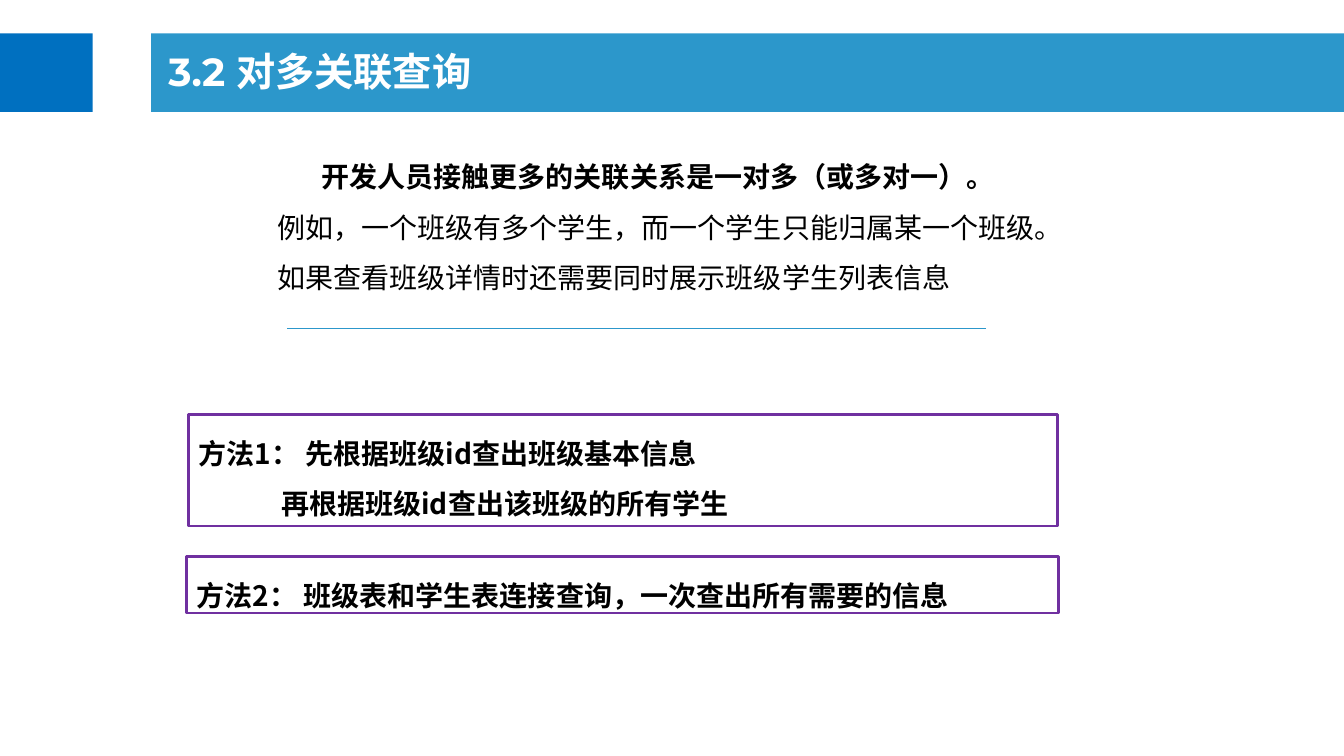
"""Build the slide on one-to-many association queries."""
from lxml import etree
from pptx import Presentation
from pptx.dml.color import RGBColor
from pptx.enum import shapes, text
from pptx.oxml import ns
from pptx.util import Inches, Pt

CJK_FONT = "Noto Sans CJK SC"
TITLE_FONT = "Montserrat"
SKY, BLUE, PURPLE, BLACK, WHITE = "2C97CB", "0070C0", "7030A0", "000000", "FFFFFF"

TITLE = "3.2 对多关联查询"
BANDS = [((1.5, 0.33, 11.83, 0.78), SKY), ((0, 0.33, 0.92, 0.78), BLUE)]
# Each line of text is (wording, bold, first-line indent).
INTRO = ((2.65, 1.37, 8.39, 1.62), [
    ("开发人员接触更多的关联关系是一对多（或多对一）。", True, 0.44),
    ("例如，一个班级有多个学生，而一个学生只能归属某一个班级。", False, 0),
    ("如果查看班级详情时还需要同时展示班级学生列表信息", False, 0),
])
METHODS = [
    ((1.87, 4.11, 8.62, 1.11), [
        ("方法1： 先根据班级id查出班级基本信息", True, 0),
        ("再根据班级id查出该班级的所有学生", True, 0.82),
    ]),
    ((1.85, 5.52, 8.65, 0.56), [
        ("方法2： 班级表和学生表连接查询，一次查出所有需要的信息", True, 0),
    ]),
]
DIVIDER = (2.85, 3.26, 9.78, 3.26)


def color(value):
    return RGBColor.from_string(value)


def inches(values):
    return [Inches(value) for value in values]


def style(paragraph, size, name, hex_color, bold, spacing):
    paragraph.alignment = text.PP_ALIGN.LEFT
    paragraph.line_spacing = spacing
    font = paragraph.font
    font.size, font.name, font.bold = Pt(size), name, bold
    font.color.rgb = color(hex_color)
    for run in paragraph.runs:
        east_asian = etree.SubElement(run._r.get_or_add_rPr(), ns.qn("a:ea"))
        east_asian.set("typeface", CJK_FONT)


def write_lines(shape, lines):
    frame = shape.text_frame
    frame.word_wrap = True
    frame.auto_size = text.MSO_AUTO_SIZE.SHAPE_TO_FIT_TEXT
    frame.vertical_anchor = text.MSO_ANCHOR.TOP
    frame.text = "\n".join(wording for wording, _, _ in lines)
    for paragraph, (_, bold, indent) in zip(frame.paragraphs, lines):
        style(paragraph, 20, CJK_FONT, BLACK, bold, 1.5)
        paragraph._p.get_or_add_pPr().set("indent", str(Inches(indent)))


def add_rectangle(slide, box):
    shape = slide.shapes.add_shape(shapes.MSO_SHAPE.RECTANGLE, *inches(box))
    shape.shadow.inherit = False
    return shape


def add_divider(slide):
    line = slide.shapes.add_connector(shapes.MSO_CONNECTOR.STRAIGHT, *inches(DIVIDER))
    line.line.color.rgb = color(SKY)
    line.line.width = Pt(0.5)
    etree.SubElement(line._element.spPr, ns.qn("a:effectLst"))


def add_title(slide):
    title = slide.shapes.title
    title.left, title.top, title.width, title.height = inches((1.57, 0.39, 11.5, 0.69))
    title.text_frame.text = TITLE
    title.text_frame.vertical_anchor = text.MSO_ANCHOR.MIDDLE
    style(title.text_frame.paragraphs[0], 28, TITLE_FONT, WHITE, True, 0.9)
    slide.shapes._spTree.append(title._element)


def main():
    presentation = Presentation()
    presentation.slide_width, presentation.slide_height = inches((13.33, 7.5))
    slide = presentation.slides.add_slide(presentation.slide_layouts[5])
    for box, fill in BANDS:
        band = add_rectangle(slide, box)
        band.fill.solid()
        band.fill.fore_color.rgb = color(fill)
        band.line.fill.background()
    box, lines = INTRO
    write_lines(slide.shapes.add_textbox(*inches(box)), lines)
    add_divider(slide)
    for box, lines in METHODS:
        method = add_rectangle(slide, box)
        method.fill.background()
        method.line.color.rgb = color(PURPLE)
        method.line.width = Pt(1.75)
        write_lines(method, lines)
    add_title(slide)
    presentation.save("out.pptx")


if __name__ == "__main__":
    main()
